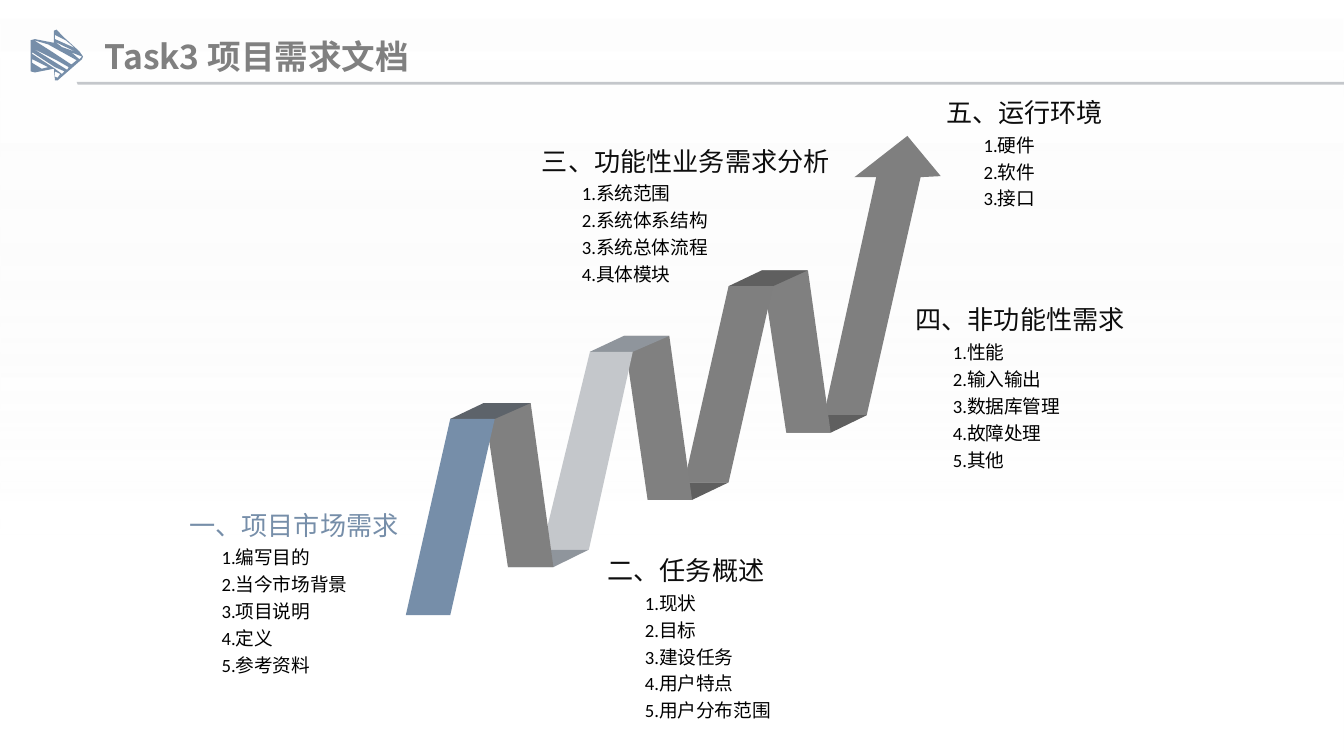
from itertools import pairwise

from lxml.etree import SubElement
from pptx import Presentation
from pptx.dml.color import RGBColor
from pptx.enum.shapes import MSO_SHAPE as Preset
from pptx.enum.text import MSO_ANCHOR as Anchor, MSO_AUTO_SIZE as AutoSize, PP_ALIGN as Align
from pptx.oxml.ns import qn
from pptx.util import Cm, Pt

WIDTH, HEIGHT = 25.4, 14.29
COLORS = {
    "white": "FFFFFF", "mist": "F2F2F2", "silver": "C4C7CB", "steel": "8F959C",
    "slate": "5D636A", "blue": "768EA9", "gray": "808080", "arrow": "7F7F7F",
    "shade": "5F5F5F", "ink": "0D0D0D", "black": "000000",
}
BODY_FONT, CJK_FONT = "Calibri", "Noto Sans CJK SC"

# Ribbon edges from its start to the arrow: left, right, height on the slide
RIBBON_EDGES = [
    (7.67, 8.51, 11.63),
    (8.51, 9.35, 7.92), (9.14, 10.03, 7.62),
    (9.6, 10.46, 10.72), (10.24, 11.13, 10.39),
    (11.15, 11.96, 6.65), (11.79, 12.65, 6.35),
    (12.24, 13.08, 9.45), (12.93, 13.77, 9.12),
    (13.77, 14.61, 5.41), (14.4, 15.27, 5.11),
    (14.86, 15.7, 8.18), (15.57, 16.38, 7.85),
]
RIBBON_COLORS = [
    "blue", "slate", "gray", "steel", "silver", "steel",
    "gray", "shade", "arrow", "shade", "gray", "shade",
]
ARROW = [(15.57, 7.85), (16.56, 3.35), (16.15, 3.35), (17.15, 2.57),
         (17.78, 3.33), (17.4, 3.35), (16.38, 7.85)]

ICON_OUTLINE = [
    (0.58, 0.76), (0.66, 0.74), (1.02, 0.81), (1.02, 0.58), (1.07, 0.56),
    (1.19, 0.69), (1.5, 0.97), (1.57, 1.07), (1.55, 1.12), (1.09, 1.52),
    (1.04, 1.52), (1.02, 1.3), (0.66, 1.37), (0.58, 1.35),
]
ICON_GAPS = [
    [(0.64, 0.76), (0.97, 0.97), (1.35, 1.22), (1.45, 1.14), (0.91, 0.84)],
    [(0.61, 0.91), (1.27, 1.32), (1.3, 1.27), (1.07, 1.14)],
    [(0.61, 1.02), (1.04, 1.3), (1.17, 1.4), (1.22, 1.35), (1.04, 1.27), (0.61, 0.99)],
    [(0.61, 1.19), (0.79, 1.3), (0.91, 1.27), (0.61, 1.12)],
    [(1.04, 0.74), (1.42, 0.91), (1.24, 0.76), (1.04, 0.66)],
    [(1.35, 0.99), (1.5, 1.12), (1.55, 1.07)],
    [(1.04, 1.45), (1.09, 1.47), (1.14, 1.4), (1.04, 1.35)],
    [(1.04, 0.79), (1.17, 0.89), (1.45, 0.99)],
]

# Heading, left, top, heading alignment, heading colour, list indent, items
SECTIONS = [
    ("一、项目市场需求", 1.65, 9.6, Align.RIGHT, "blue", 2.54,
     ["编写目的", "当今市场背景", "项目说明", "定义", "参考资料"]),
    ("二、任务概述", 11.48, 10.46, Align.LEFT, "ink", 0.71,
     ["现状", "目标", "建设任务", "用户特点", "用户分布范围"]),
    ("三、功能性业务需求分析", 9.8, 2.72, Align.RIGHT, "ink", 1.2,
     ["系统范围", "系统体系结构", "系统总体流程", "具体模块"]),
    ("四、非功能性需求", 17.3, 5.72, Align.LEFT, "ink", 0.71,
     ["性能", "输入输出", "数据库管理", "故障处理", "其他"]),
    ("五、运行环境", 17.88, 1.8, Align.LEFT, "ink", 0.71,
     ["硬件", "软件", "接口"]),
]
SECTION_WIDTH, HEADING_HEIGHT, LIST_HEIGHT = 5.89, 0.64, 1.19


class SlideBuilder:
    def __init__(self, slide):
        self.slide = slide
        self.shapes = slide.shapes

    def color(self, name):
        return RGBColor.from_string(COLORS[name])

    def backdrop(self):
        """Cover the slide with a gradient that fades out downwards."""
        backdrop = self.shapes.add_shape(Preset.RECTANGLE, 0, 0, Cm(WIDTH), Cm(HEIGHT))
        backdrop.shadow.inherit = False
        backdrop.line.fill.background()
        backdrop.fill.gradient()
        backdrop.fill.gradient_angle = 270
        stops = [("white", 0, 55), ("mist", 0.71, 0)]
        for stop, (name, position, _) in zip(backdrop.fill.gradient_stops, stops):
            stop.color.rgb = self.color(name)
            stop.position = position
        for tint, (_, _, opacity) in zip(backdrop._element.iter(qn("a:srgbClr")), stops):
            SubElement(tint, qn("a:alpha")).set("val", str(opacity * 1000))

    def polygon(self, color, outline, gaps=()):
        contours = [[(Cm(x), Cm(y)) for x, y in points] for points in (outline, *gaps)]
        builder = self.shapes.build_freeform(*contours[0][0])
        builder.add_line_segments(contours[0][1:])
        for gap in contours[1:]:
            builder.move_to(*gap[0])
            builder.add_line_segments(gap[1:])
        polygon = builder.convert_to_shape()
        polygon.shadow.inherit = False
        polygon.fill.solid()
        polygon.fill.fore_color.rgb = self.color(color)
        polygon.line.fill.background()

    def ribbon(self):
        """Join neighbouring edges, the far end first so nearer parts lie on top."""
        self.polygon("arrow", ARROW)
        parts = list(zip(RIBBON_COLORS, pairwise(RIBBON_EDGES)))
        for color, ((left, right, y), (next_left, next_right, next_y)) in reversed(parts):
            self.polygon(color, [(left, y), (right, y), (next_right, next_y), (next_left, next_y)])

    def style(self, paragraph, size, color, font=BODY_FONT, bold=False):
        for run in paragraph.runs:
            run.font.size = Pt(size)
            run.font.bold = bold
            run.font.name = font
            run.font.color.rgb = self.color(color)
            SubElement(run._r.get_or_add_rPr(), qn("a:ea")).set("typeface", CJK_FONT)

    def frame(self, holder, anchor, wrap, padding=0):
        frame = holder.text_frame
        frame.margin_left = frame.margin_right = 0
        frame.margin_top = frame.margin_bottom = Cm(padding)
        frame.vertical_anchor = anchor
        frame.word_wrap = wrap
        frame.auto_size = AutoSize.NONE
        return frame

    def title(self, text):
        title = self.shapes.title
        title.left, title.top, title.width, title.height = Cm(1.98), Cm(0.53), Cm(5.92), Cm(1.07)
        frame = self.frame(title, Anchor.MIDDLE, False, 0.13)
        frame.text = text
        frame.paragraphs[0].alignment = Align.LEFT
        self.style(frame.paragraphs[0], 18, "gray", CJK_FONT, True)
        self.shapes._spTree.append(title._element)  # in front of the backdrop

    def section(self, heading, left, top, align, color, indent, items):
        box = self.shapes.add_textbox(Cm(left), Cm(top), Cm(SECTION_WIDTH), Cm(HEADING_HEIGHT))
        frame = self.frame(box, Anchor.MIDDLE, False)
        frame.text = heading
        frame.paragraphs[0].alignment = align
        self.style(frame.paragraphs[0], 14, color)

        box = self.shapes.add_textbox(Cm(left), Cm(top + HEADING_HEIGHT),
                                      Cm(SECTION_WIDTH), Cm(LIST_HEIGHT))
        frame = self.frame(box, Anchor.TOP, True)
        frame.text = "\n".join(f"{number}.{item}" for number, item in enumerate(items, 1))
        for paragraph in frame.paragraphs:
            paragraph.line_spacing = 1.2
            paragraph._p.get_or_add_pPr().set("marL", str(Cm(indent)))
            self.style(paragraph, 10, "black")


def main():
    deck = Presentation()
    deck.slide_width, deck.slide_height = Cm(WIDTH), Cm(HEIGHT)
    builder = SlideBuilder(deck.slides.add_slide(deck.slide_layouts[5]))
    builder.backdrop()
    builder.polygon("silver", [(1.45, 1.55), (WIDTH, 1.55), (WIDTH, 1.6), (1.47, 1.6)])
    builder.polygon("blue", ICON_OUTLINE, ICON_GAPS)
    builder.ribbon()
    for section in SECTIONS:
        builder.section(*section)
    builder.title("Task3 项目需求文档")
    deck.save("out.pptx")


if __name__ == "__main__":
    main()
